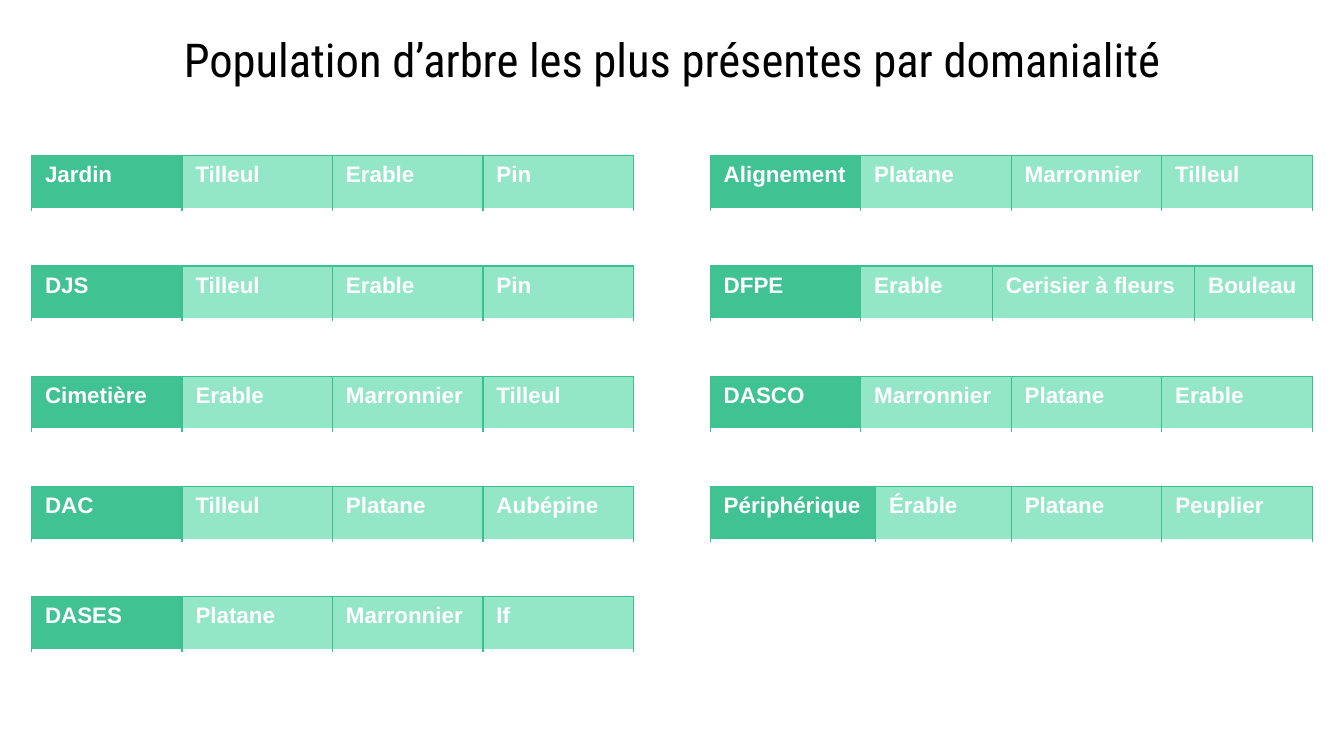
from lxml import etree
from pptx import Presentation
from pptx.dml.color import RGBColor
from pptx.enum.text import MSO_ANCHOR, MSO_AUTO_SIZE, PP_ALIGN
from pptx.oxml.ns import qn
from pptx.util import Pt

MIDDLE, TOP = MSO_ANCHOR.MIDDLE, MSO_ANCHOR.TOP
CENTER = PP_ALIGN.CENTER
NO_FIT = MSO_AUTO_SIZE.NONE
PX = 4572  # 200 px to the inch

EDGE, DARK, LIGHT, WHITE = "3BC191", "40C293", "93E7C6", "FFFFFF"
EVEN = [224, 224, 224, 224]
LEFT, RIGHT = 47, 1057
FIRST, STEP, HIGH = 232, 164, 80


def color(code):
    return RGBColor.from_string(code)


def border(cell, side, code, width):
    line = etree.SubElement(cell._tc.get_or_add_tcPr(), qn("a:ln" + side),
                            w=str(Pt(width)))
    fill = etree.SubElement(line, qn("a:solidFill"))
    etree.SubElement(fill, qn("a:srgbClr"), val=code)


deck = Presentation()
deck.slide_width, deck.slide_height = 2000 * PX, 1125 * PX
slide = deck.slides.add_slide(deck.slide_layouts[5])

# Title
title = slide.shapes.title
title.left, title.top = 100 * PX, 25 * PX
title.width, title.height = 1800 * PX, 126 * PX
frame = title.text_frame
frame.auto_size = NO_FIT
frame.word_wrap = True
frame.vertical_anchor = MIDDLE
frame.margin_left = frame.margin_right = 20 * PX
frame.margin_top = frame.margin_bottom = 20 * PX
para = frame.paragraphs[0]
para.alignment = CENTER
run = para.add_run()
run.text = "Population d’arbre les plus présentes par domanialité"
run.font.size = Pt(25)
run.font.name = "Roboto Condensed"
run.font.color.rgb = color("000000")

# Domain, its three main trees, and column widths
sides = [
    (LEFT, [
        (["Jardin", "Tilleul", "Erable", "Pin"], EVEN),
        (["DJS", "Tilleul", "Erable", "Pin"], EVEN),
        (["Cimetière", "Erable", "Marronnier", "Tilleul"], EVEN),
        (["DAC", "Tilleul", "Platane", "Aubépine"], EVEN),
        (["DASES", "Platane", "Marronnier", "If"], EVEN),
    ]),
    (RIGHT, [
        (["Alignement", "Platane", "Marronnier", "Tilleul"], EVEN),
        (["DFPE", "Erable", "Cerisier à fleurs", "Bouleau"],
         [224, 196, 301, 175]),
        (["DASCO", "Marronnier", "Platane", "Erable"], EVEN),
        (["Périphérique", "Érable", "Platane", "Peuplier"],
         [246, 202, 224, 224]),
    ]),
]

# One table per domain
for left, items in sides:
    for row, (words, widths) in enumerate(items):
        table = slide.shapes.add_table(
            1, len(words), left * PX, (FIRST + row * STEP) * PX,
            sum(widths) * PX, HIGH * PX).table
        table.first_row = table.horz_banding = False
        for col, (word, width) in enumerate(zip(words, widths)):
            table.columns[col].width = width * PX
            cell = table.cell(0, col)
            cell.vertical_anchor = TOP
            for side in "LRT":
                border(cell, side, EDGE, 0.75)
            border(cell, "B", WHITE, 2)
            cell.fill.solid()
            cell.fill.fore_color.rgb = color(LIGHT if col else DARK)
            run = cell.text_frame.paragraphs[0].add_run()
            run.text = word
            run.font.size = Pt(12)
            run.font.name = "Arial"
            run.font.bold = True
            run.font.color.rgb = color(WHITE)

deck.save("out.pptx")
